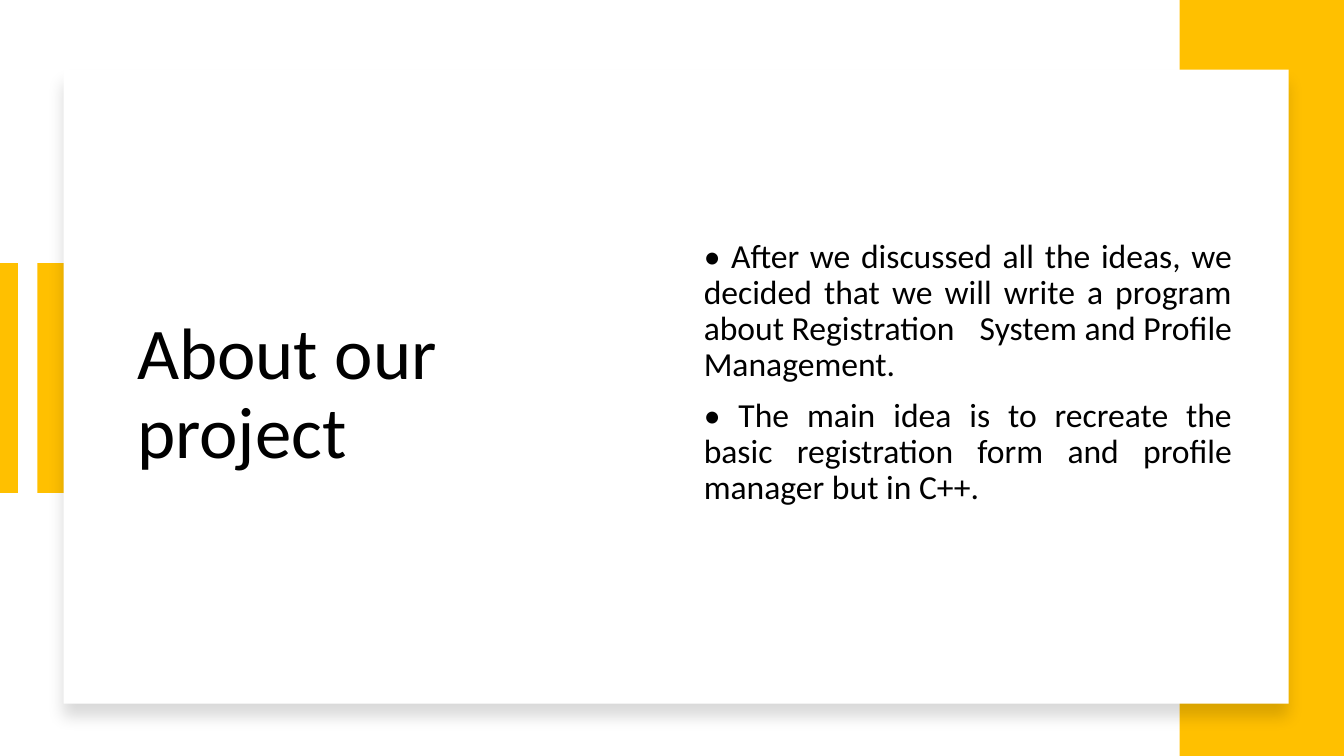
from lxml.etree import SubElement
from pptx import Presentation
from pptx.dml.color import RGBColor
from pptx.enum.shapes import MSO_CONNECTOR, MSO_SHAPE
from pptx.enum.text import MSO_ANCHOR, MSO_AUTO_SIZE, PP_ALIGN
from pptx.oxml import parse_xml
from pptx.oxml.ns import nsdecls, qn
from pptx.util import Inches, Pt

GOLD, WHITE, BLACK = "FFC000", "FFFFFF", "000000"
TITLE = "About our project"
IDEAS = [
    "• After we discussed all the ideas, we decided that we will write a program "
    "about\u00a0Registration System\u00a0and\u00a0Profile Management.\u00a0",
    "• The main idea is to recreate the basic registration form and profile "
    "manager but in C++.\u00a0",
]


def colour(code):
    """Turn a hex string into a colour."""
    return RGBColor.from_string(code)


def add_panel(page, box, fill):
    """Add a flat rectangle that fills the box."""
    panel = page.shapes.add_shape(MSO_SHAPE.RECTANGLE, *map(Inches, box))
    panel.shadow.inherit = False
    panel.fill.solid()
    panel.fill.fore_color.rgb = colour(fill)
    panel.line.fill.background()
    return panel


def add_stripes(page, box):
    """Add the thin line and the wide bar at the left edge of the page."""
    left, top, width, height = box
    middle = left + 0.08
    stripe = page.shapes.add_connector(
        MSO_CONNECTOR.STRAIGHT,
        *map(Inches, (middle, top, middle, top + height)))
    stripe.line.color.rgb = colour(GOLD)
    stripe.line.width = Pt(14)
    SubElement(stripe.element.spPr, qn("a:effectLst"))
    bar = 0.34
    add_panel(page, (left + width - bar, top, bar, height), GOLD)


def add_card(page, box):
    """Add the white card with its soft shadow below."""
    card = add_panel(page, box, WHITE)
    effects = card.element.spPr.find(qn("a:effectLst"))
    effects.append(parse_xml(
        f'<a:outerShdw {nsdecls("a")} blurRad="{Pt(11)}" dist="{Pt(10)}" '
        f'dir="5400000" algn="t" rotWithShape="0"><a:srgbClr val="{BLACK}">'
        '<a:alpha val="15000"/></a:srgbClr></a:outerShdw>'))


def write_text(para, text, size, align=PP_ALIGN.LEFT, before=0):
    """Write one formatted paragraph without an automatic bullet."""
    para.alignment = align
    para.line_spacing = 0.9
    para.space_before = Pt(before)
    properties = para._p.get_or_add_pPr()
    properties.set("marL", "0")
    properties.set("indent", "0")
    SubElement(properties, qn("a:buNone"))
    span = para.add_run()
    span.text = text
    span.font.name = "Calibri"
    span.font.size = Pt(size)
    span.font.color.rgb = colour(BLACK)


def fill_placeholder(holder, box, texts, bottom=0.05, **style):
    """Move a placeholder to the box, bring it to the front and write its texts."""
    holder.left, holder.top, holder.width, holder.height = map(Inches, box)
    holder.element.getparent().append(holder.element)
    frame = holder.text_frame
    frame.word_wrap = True
    frame.auto_size = MSO_AUTO_SIZE.NONE
    frame.vertical_anchor = MSO_ANCHOR.MIDDLE
    frame.margin_bottom = Inches(bottom)
    for index, text in enumerate(texts):
        para = frame.add_paragraph() if index else frame.paragraphs[0]
        write_text(para, text, **style)


def build_page(deck):
    """Build the page with its decoration, title and list."""
    page = deck.slides.add_slide(deck.slide_layouts[1])
    page.background.fill.solid()
    page.background.fill.fore_color.rgb = colour(WHITE)
    add_stripes(page, (0, 2.61, 0.71, 2.28))
    add_panel(page, (11.7, 0, 1.63, 7.5), GOLD)
    add_card(page, (0.63, 0.69, 12.15, 6.29))
    title, body = page.placeholders[0], page.placeholders[1]
    fill_placeholder(title, (1.26, 1.36, 4.38, 5.12), [TITLE], size=52)
    fill_placeholder(body, (6.88, 1.36, 5.44, 5.12), IDEAS, bottom=0.49,
                     size=24, align=PP_ALIGN.JUSTIFY, before=10)


deck = Presentation()
deck.slide_width, deck.slide_height = Inches(13.33), Inches(7.5)
build_page(deck)
deck.save("out.pptx")
